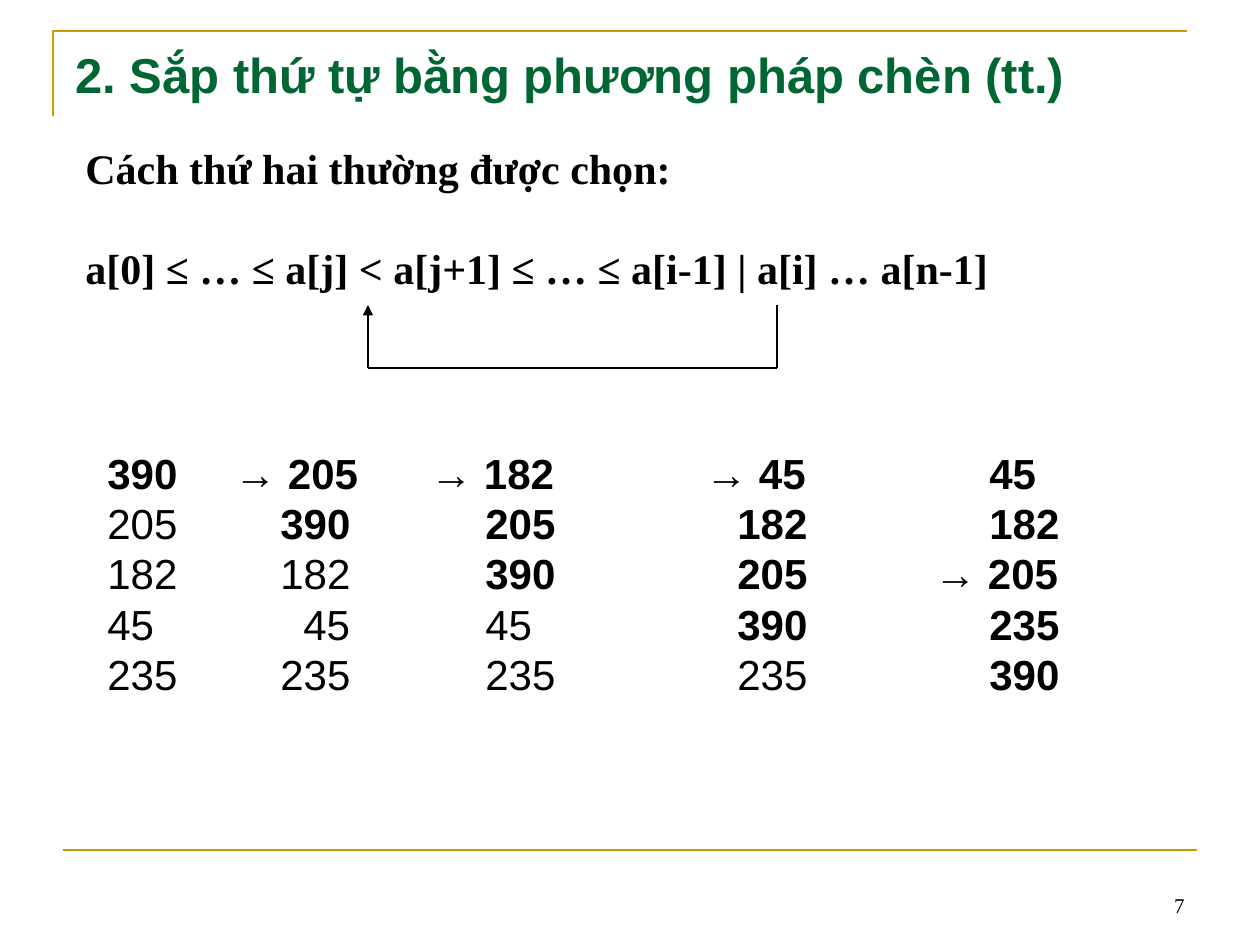
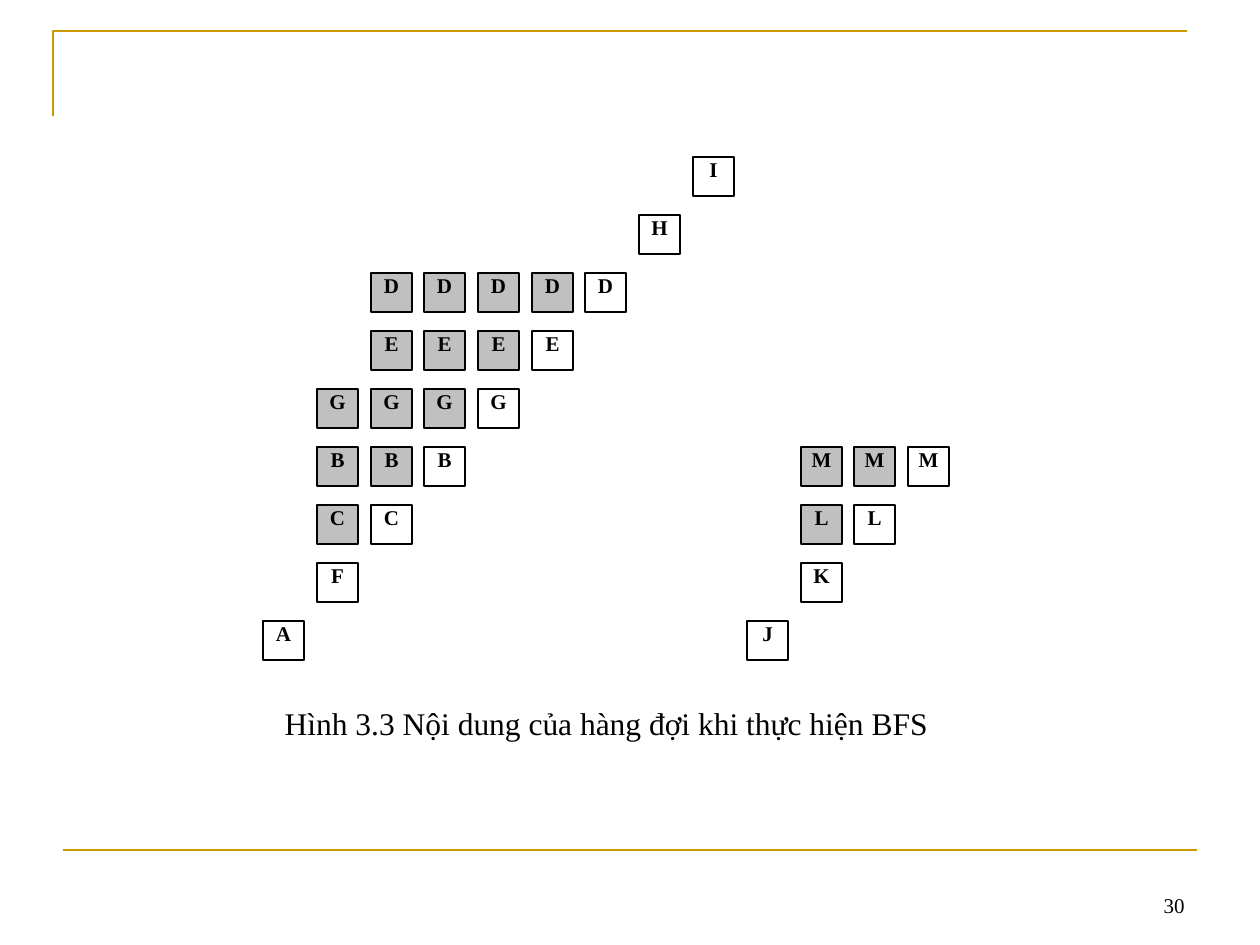
import pptx
import pptx.dml.color
import pptx.enum.shapes
import pptx.enum.text
import pptx.oxml
import pptx.oxml.ns
import pptx.util
import lxml.etree

PX = 914400 / 126
GOLD = pptx.dml.color.RGBColor(0xCC, 0x99, 0x00)
GREEN = pptx.dml.color.RGBColor(0x00, 0x66, 0x33)
BLACK = pptx.dml.color.RGBColor(0, 0, 0)
WHITE = pptx.dml.color.RGBColor(0xFF, 0xFF, 0xFF)
GRAY = pptx.dml.color.RGBColor(0xC0, 0xC0, 0xC0)
SANS = "Arial"
SERIF = "Times New Roman"
ALIGN = pptx.enum.text.PP_ALIGN
ANCHOR = pptx.enum.text.MSO_ANCHOR
SHAPE = pptx.enum.shapes.MSO_SHAPE
CONNECTOR = pptx.enum.shapes.MSO_CONNECTOR

COLUMN_STOPS = [0, 173, 378, 630, 882]
SORT_STEPS = [
    ["390", "→ 205", "→ 182", "→ 45", "45"],
    ["205", "390", "205", "182", "182"],
    ["182", "182", "390", "205", "→ 205"],
    ["45", "45", "45", "390", "235"],
    ["235", "235", "235", "235", "390"],
]
STOP_SHIFTS = {(0, 1): -46, (0, 2): -55, (0, 3): -32, (2, 4): -55, (3, 1): 23}

QUEUE_CELLS = [
    ("I", 0, 8, 1), ("H", 1, 7, 1), ("D", 2, 2, 5), ("E", 3, 2, 4),
    ("G", 4, 1, 4), ("B", 5, 1, 3), ("C", 6, 1, 2), ("F", 7, 1, 1),
    ("A", 8, 0, 1), ("M", 5, 10, 3), ("L", 6, 10, 2), ("K", 7, 10, 1),
    ("J", 8, 9, 1),
]


def px(n):
    return pptx.util.Emu(round(n * PX))


class Deck:
    def __init__(self):
        self.prs = pptx.Presentation()
        self.prs.slide_width = px(1260)
        self.prs.slide_height = px(945)
        self.s = None

    def slide(self, number):
        self.s = self.prs.slides.add_slide(self.prs.slide_layouts[6])
        self.frame()
        self.line(63, 850, 1197, 850, GOLD, 1.5)
        self.text(903, 861, 294, 63, [str(number)], 12, align=ALIGN.RIGHT,
                  anchor=ANCHOR.BOTTOM)

    def frame(self):
        fb = self.s.shapes.build_freeform(53, 116, scale=PX)
        fb.add_line_segments([(53, 31), (1187, 31)], close=False)
        sp = fb.convert_to_shape()
        sp.shadow.inherit = False
        sp.fill.background()
        sp.line.color.rgb = GOLD
        sp.line.width = pptx.util.Pt(1.5)

    def line(self, x1, y1, x2, y2, color=BLACK, width=0.75, arrow=False):
        sp = self.s.shapes.add_connector(
            CONNECTOR.STRAIGHT, px(x1), px(y1), px(x2), px(y2))
        sp.line.color.rgb = color
        sp.line.width = pptx.util.Pt(width)
        if arrow:
            tail = lxml.etree.SubElement(
                sp.line._get_or_add_ln(), pptx.oxml.ns.qn("a:tailEnd"))
            tail.set("type", "triangle")
        lxml.etree.SubElement(
            sp._element.spPr, pptx.oxml.ns.qn("a:effectLst"))

    def style(self, p, size, font=SERIF, color=BLACK, bold=False,
              align=ALIGN.LEFT):
        p.alignment = align
        p.line_spacing = pptx.util.Pt(size * 1.2)
        for r in p.runs:
            r.font.name = font
            r.font.size = pptx.util.Pt(size)
            r.font.color.rgb = color
            r.font.bold = bold

    def box(self, x, y, w, h, anchor=ANCHOR.TOP):
        sp = self.s.shapes.add_textbox(px(x), px(y), px(w), px(h))
        tf = sp.text_frame
        tf.word_wrap = True
        tf.vertical_anchor = anchor
        return tf

    def text(self, x, y, w, h, lines, size, font=SERIF, color=BLACK,
             bold=False, align=ALIGN.LEFT, anchor=ANCHOR.TOP, gap=0):
        tf = self.box(x, y, w, h, anchor)
        tf.text = "\n".join(lines)
        for i, p in enumerate(tf.paragraphs):
            self.style(p, size, font, color, bold, align)
            if i:
                p.space_before = pptx.util.Pt(gap)

    def title(self, text):
        self.text(63, 38, 1134, 67, [text], 28, SANS, GREEN, True)

    def sort_steps(self, x, y, w, h):
        tf = self.box(x, y, w, h)
        for row, values in enumerate(SORT_STEPS):
            p = tf.paragraphs[0] if row == 0 else tf.add_paragraph()
            for col, value in enumerate(values):
                r = p.add_run()
                r.text = "\t" + value if col else value
            self.style(p, 24, SANS)
            for col, r in enumerate(p.runs):
                r.font.bold = col >= row
            tabs = lxml.etree.SubElement(
                p._p.get_or_add_pPr(), pptx.oxml.ns.qn("a:tabLst"))
            for col in range(1, len(values)):
                stop = COLUMN_STOPS[col] + STOP_SHIFTS.get((row, col), 0)
                tab = lxml.etree.SubElement(tabs, pptx.oxml.ns.qn("a:tab"))
                tab.set("pos", str(px(stop)))
                tab.set("algn", "l")

    def cell(self, x, y, label, fill):
        sp = self.s.shapes.add_shape(
            SHAPE.RECTANGLE, px(x), px(y), px(41), px(39))
        sp.shadow.inherit = False
        sp.fill.solid()
        sp.fill.fore_color.rgb = fill
        sp.line.color.rgb = BLACK
        sp.line.width = pptx.util.Pt(0.75)
        tf = sp.text_frame
        tf.margin_left = tf.margin_right = tf.margin_top = tf.margin_bottom = 0
        tf.vertical_anchor = ANCHOR.TOP
        tf.text = label
        self.style(tf.paragraphs[0], 12, bold=True, align=ALIGN.CENTER)


def insertion_sort(deck):
    deck.slide(7)
    deck.title("2. Sắp thứ tự bằng phương pháp chèn (tt.)")
    deck.text(73, 136, 1124, 164, [
        "Cách thứ hai thường được chọn:",
        "a[0] ≤ … ≤ a[j] < a[j+1] ≤ … ≤ a[i-1] | a[i] … a[n-1]",
    ], 24, bold=True, gap=28.8)
    deck.sort_steps(95, 441, 1071, 265)
    deck.line(777, 305, 777, 368)
    deck.line(368, 368, 368, 305, arrow=True)
    deck.line(777, 368, 368, 368)


def bfs_queue(deck):
    deck.slide(30)
    for label, row, first, count in QUEUE_CELLS:
        for i in range(count):
            fill = WHITE if i == count - 1 else GRAY
            x = 263 + round((first + i) * 53.75)
            deck.cell(x, 157 + row * 58, label, fill)
    deck.text(183, 698, 847, 58,
              ["Hình 3.3 Nội dung của hàng đợi khi thực hiện BFS"],
              18, align=ALIGN.CENTER)


def main():
    deck = Deck()
    insertion_sort(deck)
    bfs_queue(deck)
    deck.prs.save("out.pptx")


if __name__ == "__main__":
    main()
